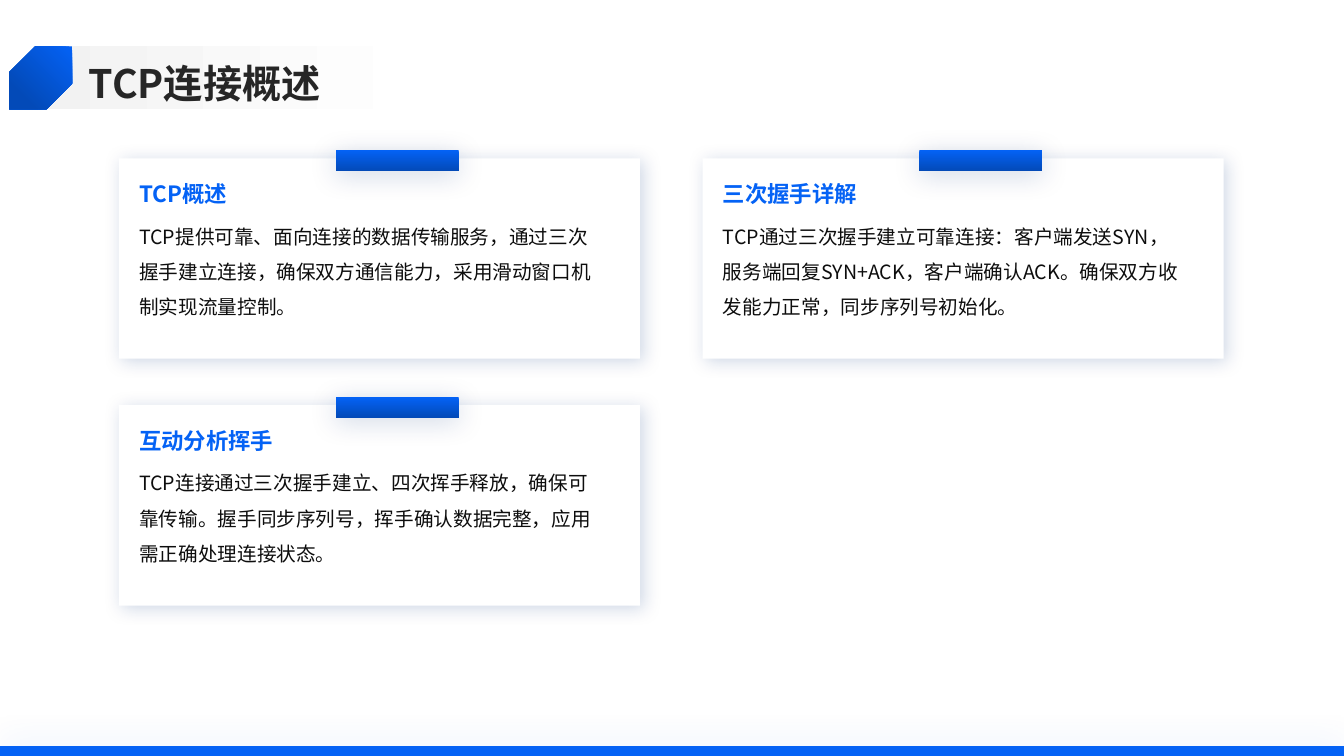
"""Build the TCP connection overview slide."""
from dataclasses import dataclass

from lxml import etree
from pptx import Presentation
from pptx.dml.color import RGBColor
from pptx.enum.shapes import MSO_SHAPE
from pptx.enum.text import MSO_ANCHOR, MSO_AUTO_SIZE, PP_ALIGN
from pptx.oxml.ns import qn
from pptx.util import Cm, Pt

RECT = MSO_SHAPE.RECTANGLE
SNIP = MSO_SHAPE.SNIP_2_DIAG_RECTANGLE
TOP, MIDDLE = MSO_ANCHOR.TOP, MSO_ANCHOR.MIDDLE
LEFT = PP_ALIGN.LEFT
NO_FIT = MSO_AUTO_SIZE.NONE

FONT = "Noto Sans CJK SC"
BLUE, DEEP_BLUE, NAVY = "0462F5", "034AB8", "02317B"
WHITE, GREY, INK, TITLE_INK = "FFFFFF", "F2F2F2", "0D0D0D", "262626"

CARD_LEFT, CARD_TOP = 3.0, 3.99
CARD_W, CARD_H = 13.13, 5.05
COL_STEP, ROW_STEP = 14.71, 6.22
TAB_W, TAB_H, TAB_RISE = 3.1, 0.52, 0.2
TEXT_INSET, TEXT_W = 0.51, 11.58


@dataclass(frozen=True)
class Shadow:
    """Outer shadow: opacity in percent, blur and distance in points."""
    color: str
    opacity: int
    blur: int
    distance: int = 0
    angle: int = 0


@dataclass(frozen=True)
class Gradient:
    """Two-colour gradient with a clockwise angle in degrees."""
    start: str
    end: str
    stop: float
    angle: int


@dataclass(frozen=True)
class Card:
    """Text card placed in a grid cell."""
    col: int
    row: int
    heading: str
    body: str


BAR_SHADOW = Shadow(BLUE, 20, 25)
CARD_SHADOW = Shadow(NAVY, 19, 13, 3, 45)
TAB_SHADOW = Shadow(NAVY, 19, 20, 3, 90)
TAB_FILL = Gradient(BLUE, DEEP_BLUE, 1, 90)
BADGE_FILL = Gradient(BLUE, DEEP_BLUE, 0.8, 45)
BAND_FILL = Gradient(GREY, WHITE, 0.8, 0)

CARDS = (
    Card(0, 0, "TCP概述",
         "TCP提供可靠、面向连接的数据传输服务，通过三次握手建立连接，"
         "确保双方通信能力，采用滑动窗口机制实现流量控制。"),
    Card(0, 1, "互动分析挥手",
         "TCP连接通过三次握手建立、四次挥手释放，确保可靠传输。"
         "握手同步序列号，挥手确认数据完整，应用需正确处理连接状态。"),
    Card(1, 0, "三次握手详解",
         "TCP通过三次握手建立可靠连接：客户端发送SYN，服务端回复SYN+ACK，"
         "客户端确认ACK。确保双方收发能力正常，同步序列号初始化。"),
)


def rgb(color: str) -> RGBColor:
    """Turn a hex string into a colour."""
    return RGBColor.from_string(color)


def add_shadow(sp, shadow: Shadow) -> None:
    """Give a shape an outer shadow."""
    effects = sp._element.spPr.find(qn("a:effectLst"))
    outer = etree.SubElement(
        effects, qn("a:outerShdw"), blurRad=str(Pt(shadow.blur)),
        dist=str(Pt(shadow.distance)), dir=str(shadow.angle * 60000),
        algn="ctr", rotWithShape="0")
    clr = etree.SubElement(outer, qn("a:srgbClr"), val=shadow.color)
    etree.SubElement(clr, qn("a:alpha"), val=str(shadow.opacity * 1000))


def add_block(s, x: float, y: float, w: float, h: float,
              fill: str | Gradient, shadow: Shadow | None = None, kind=RECT):
    """Draw an unlined shape with a solid or gradient fill."""
    sp = s.shapes.add_shape(kind, Cm(x), Cm(y), Cm(w), Cm(h))
    sp.line.fill.background()
    sp.shadow.inherit = False
    if isinstance(fill, Gradient):
        sp.fill.gradient()
        sp.fill.gradient_angle = -fill.angle % 360
        first, last = sp.fill.gradient_stops
        first.color.rgb, first.position = rgb(fill.start), 0
        last.color.rgb, last.position = rgb(fill.end), fill.stop
    else:
        sp.fill.solid()
        sp.fill.fore_color.rgb = rgb(fill)
    if shadow:
        add_shadow(sp, shadow)
    return sp


def set_text(sp, text: str, *, size: int, color: str, bold: bool = False,
             spacing: float = 1.0, anchor=TOP) -> None:
    """Write one formatted paragraph into a shape without margins."""
    tf = sp.text_frame
    tf.word_wrap = True
    tf.auto_size = NO_FIT
    tf.vertical_anchor = anchor
    tf.margin_left = tf.margin_right = tf.margin_top = tf.margin_bottom = 0
    p = tf.paragraphs[0]
    p.alignment = LEFT
    p.line_spacing = spacing
    p.space_before = Pt(0)
    r = p.add_run()
    r.text = text
    r.font.size = Pt(size)
    r.font.bold = bold
    r.font.color.rgb = rgb(color)
    r.font.name = FONT
    etree.SubElement(r._r.get_or_add_rPr(), qn("a:ea"), typeface=FONT)


def add_text(s, x: float, y: float, w: float, h: float, text: str,
             **fmt) -> None:
    """Add a text box."""
    set_text(s.shapes.add_textbox(Cm(x), Cm(y), Cm(w), Cm(h)), text, **fmt)


def add_card(s, card: Card) -> None:
    """Draw a card with its tab, heading and body."""
    x = CARD_LEFT + card.col * COL_STEP
    y = CARD_TOP + card.row * ROW_STEP
    add_block(s, x, y, CARD_W, CARD_H, WHITE, CARD_SHADOW)
    add_block(s, x + 5.46, y - TAB_RISE, TAB_W, TAB_H, TAB_FILL, TAB_SHADOW)
    add_text(s, x + TEXT_INSET, y + 0.56, TEXT_W, 0.91, card.heading,
             size=16, color=BLUE, bold=True)
    add_text(s, x + TEXT_INSET, y + 1.37, TEXT_W, 3.35, card.body,
             size=14, color=INK, spacing=1.5)


def add_title(s, text: str) -> None:
    """Place the title over its band, with the badge at the left."""
    band = add_block(s, 0.84, 1.17, 12.5, 1.58, BAND_FILL)
    title = s.shapes.title
    band._element.addnext(title._element)
    title.left, title.top = Cm(2.24), Cm(1.37)
    title.width, title.height = Cm(30.18), Cm(1.3)
    set_text(title, text, size=28, color=TITLE_INK, bold=True,
             spacing=1.1, anchor=MIDDLE)
    badge = add_block(s, 0.24, 1.17, 1.58, 1.58, BADGE_FILL, kind=SNIP)
    badge.adjustments[0], badge.adjustments[1] = 0, 0.41
    badge._element.spPr.xfrm.set("flipH", "1")


def main() -> None:
    """Build and save the slide."""
    prs = Presentation()
    prs.slide_width, prs.slide_height = Cm(33.87), Cm(19.05)
    s = prs.slides.add_slide(prs.slide_layouts[5])
    s.background.fill.solid()
    s.background.fill.fore_color.rgb = rgb(WHITE)
    add_block(s, 0, 18.8, 33.87, 0.25, BLUE, BAR_SHADOW)
    for card in CARDS:
        add_card(s, card)
    add_title(s, "TCP连接概述")
    prs.save("out.pptx")


if __name__ == "__main__":
    main()
